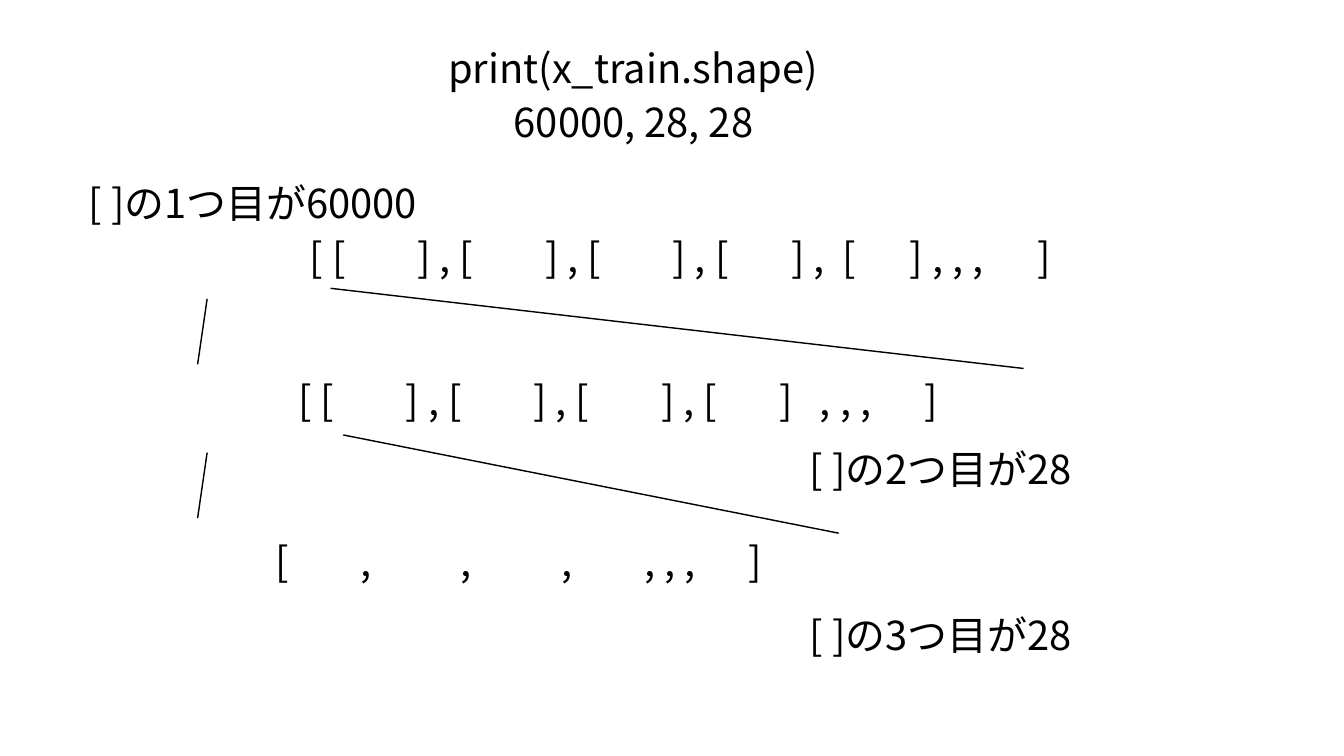
from lxml.etree import SubElement
from pptx import Presentation
from pptx.dml.color import RGBColor
from pptx.enum.shapes import MSO_CONNECTOR as CONN
from pptx.enum.text import MSO_ANCHOR as ANCHOR, MSO_AUTO_SIZE as FIT, PP_ALIGN as ALIGN
from pptx.oxml.ns import qn
from pptx.util import Cm, Pt

COLORS = {"ink": "000000", "paper": "FFFFFF"}
FONT = "Noto Sans CJK JP"
INSET = 0.15
BOX_HEIGHT = 2.72

TITLES = [
    ("print(x_train.shape)", 19.58, 2.06, 24.66),
    ("60000, 28, 28", 22.66, 4.78, 18.54),
]
NOTES = [
    ("[ ]の1つ目が60000", 4.32, 8.84),
    ("[ ]の2つ目が28", 40.67, 22.23),
    ("[ ]の3つ目が28", 40.67, 30.61),
]
FIRST_GAP, GAP = 5.42, 6.43
GROUP_STOPS = [FIRST_GAP + i * GAP for i in range(3)]
GROUPS = ["[ ["] + ["] , ["] * 3
ARRAY_ROWS = [
    (GROUPS + ["] ,", "[", "] , , ,", "]"],
     GROUP_STOPS + [24.26, 26.86, 30.24, 36.66], 15.62, 11.58),
    (GROUPS + ["]", ", , ,", "]"],
     GROUP_STOPS + [24.26, 26.29, 31.58], 15.04, 18.8),
    (["[", ",", ",", ",", ", , ,", "]"],
     [4.28, 9.35, 14.41, 18.58, 23.86], 13.88, 26.87),
]
LINES = [
    (10.44, 15.06, 9.96, 18.36),
    (16.66, 14.53, 51.59, 18.57),
    (10.44, 22.81, 9.96, 26.11),
    (17.3, 21.92, 42.27, 26.87),
]


def add_text(slide, text, left, top, width, align=ALIGN.LEFT):
    box = slide.shapes.add_textbox(Cm(left), Cm(top), Cm(width), Cm(BOX_HEIGHT))
    tf = box.text_frame
    tf.word_wrap = True
    tf.auto_size = FIT.SHAPE_TO_FIT_TEXT
    tf.vertical_anchor = ANCHOR.MIDDLE
    tf.margin_left = tf.margin_right = tf.margin_top = tf.margin_bottom = Cm(INSET)
    p = tf.paragraphs[0]
    p.text = text
    p.alignment = align
    p.font.size = Pt(57)
    p.font.color.rgb = RGBColor.from_string(COLORS["ink"])
    p.font.name = FONT
    props = p._p.get_or_add_pPr().find(qn("a:defRPr"))
    SubElement(props, qn("a:ea"), typeface=FONT)
    return p


def add_array_row(slide, parts, stops, left, top):
    p = add_text(slide, "\t".join(parts), left - INSET, top, stops[-1] + 2)
    props = p._p.get_or_add_pPr()
    tabs = SubElement(props, qn("a:tabLst"))
    props.insert(0, tabs)
    for stop in stops:
        SubElement(tabs, qn("a:tab"), pos=str(Cm(stop)), algn="l")


def add_line(slide, x1, y1, x2, y2):
    line = slide.shapes.add_connector(CONN.STRAIGHT, Cm(x1), Cm(y1), Cm(x2), Cm(y2))
    line.line.color.rgb = RGBColor.from_string(COLORS["ink"])
    line.line.width = Pt(2)
    SubElement(line._element.spPr, qn("a:effectLst"))


def main():
    prs = Presentation()
    prs.slide_width, prs.slide_height = Cm(67.74), Cm(38.1)
    slide = prs.slides.add_slide(prs.slide_layouts[6])
    fill = slide.background.fill
    fill.solid()
    fill.fore_color.rgb = RGBColor.from_string(COLORS["paper"])
    for text, left, top, width in TITLES:
        add_text(slide, text, left, top, width, ALIGN.CENTER)
    for text, left, top in NOTES:
        add_text(slide, text, left, top, 24.66)
    for row in ARRAY_ROWS:
        add_array_row(slide, *row)
    for ends in LINES:
        add_line(slide, *ends)
    prs.save("out.pptx")


if __name__ == "__main__":
    main()
